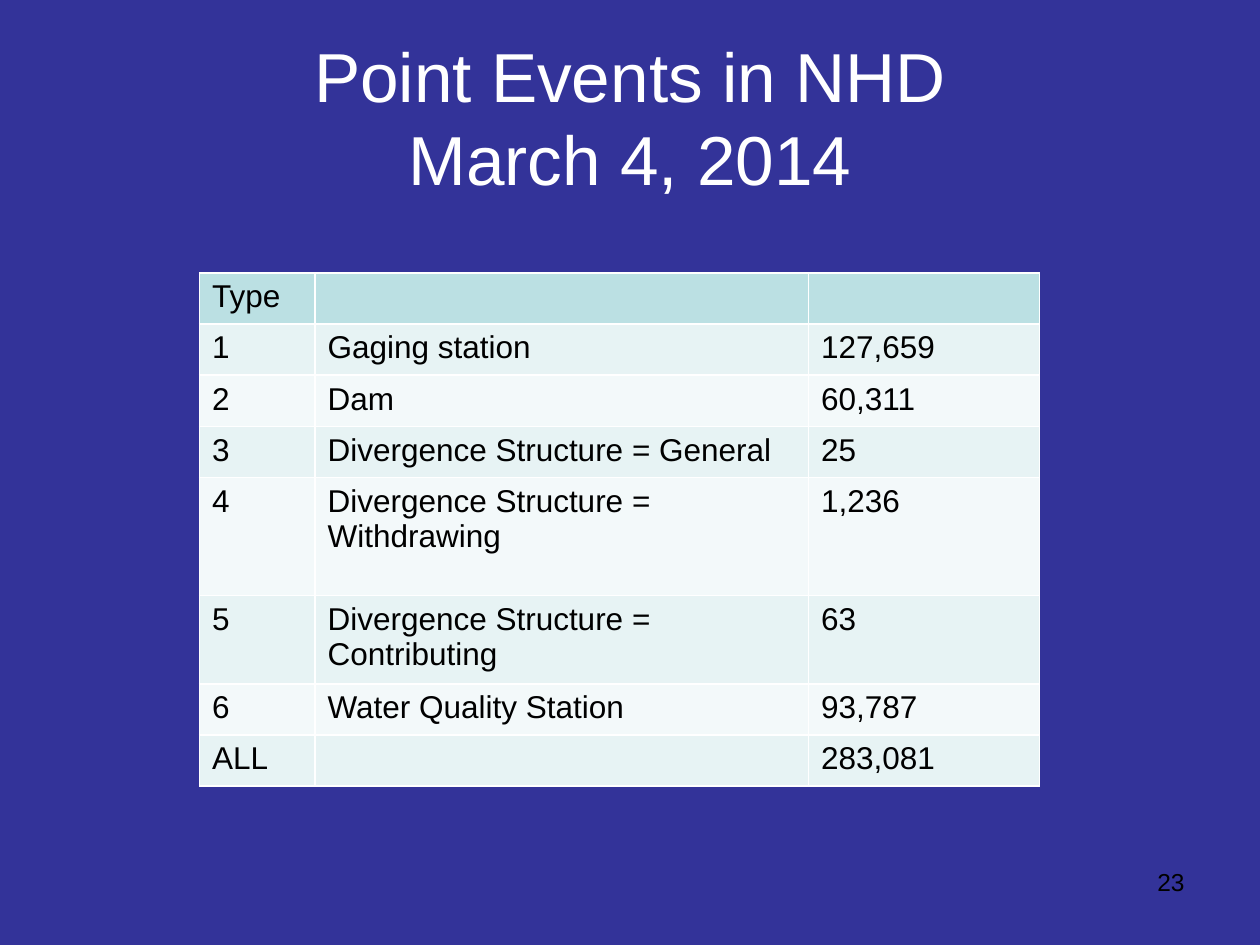
import dataclasses

import pptx
import pptx.dml.color
import pptx.enum.text
import pptx.util

Pt = pptx.util.Pt
Align = pptx.enum.text.PP_ALIGN
Anchor = pptx.enum.text.MSO_ANCHOR


@dataclasses.dataclass(frozen=True)
class Theme:
    font: str = "Arial"
    background: str = "333399"
    title: str = "FFFFFF"
    text: str = "000000"
    header: str = "BBE0E3"
    bands: tuple = ("E7F3F4", "F3F9FA")
    title_size: float = 39.6
    table_size: float = 18
    number_size: float = 14


def color(value):
    return pptx.dml.color.RGBColor.from_string(value)


def write(text_frame, text, *, font, size, fill, align=Align.LEFT):
    paragraph = text_frame.paragraphs[0]
    paragraph.text = text
    paragraph.alignment = align
    for run in paragraph.runs:
        run.font.name = font
        run.font.size = Pt(size)
        run.font.bold = False
        run.font.color.rgb = color(fill)


class SlideBuilder:
    def __init__(self, presentation, theme):
        self.theme = theme
        self.slide = presentation.slides.add_slide(presentation.slide_layouts[5])
        background = self.slide.background.fill
        background.solid()
        background.fore_color.rgb = color(theme.background)

    def title(self, text, left, top, width, height):
        shape = self.slide.shapes.title
        shape.left, shape.top = Pt(left), Pt(top)
        shape.width, shape.height = Pt(width), Pt(height)
        shape.text_frame.vertical_anchor = Anchor.MIDDLE
        write(shape.text_frame, text, font=self.theme.font, size=self.theme.title_size,
              fill=self.theme.title, align=Align.CENTER)

    def page_number(self, text, left, top, width, height):
        shape = self.slide.shapes.add_textbox(Pt(left), Pt(top), Pt(width), Pt(height))
        shape.text_frame.word_wrap = True
        write(shape.text_frame, text, font=self.theme.font, size=self.theme.number_size,
              fill=self.theme.text, align=Align.RIGHT)

    def table(self, rows, left, top, widths, heights):
        table = self.slide.shapes.add_table(
            len(rows), len(widths), Pt(left), Pt(top), Pt(sum(widths)), Pt(sum(heights))
        ).table
        for column, width in zip(table.columns, widths):
            column.width = Pt(width)
        for index, (row, values) in enumerate(zip(table.rows, rows)):
            row.height = Pt(heights[index])
            fill = self.theme.bands[(index - 1) % 2] if index else self.theme.header
            for cell, value in zip(row.cells, values):
                cell.fill.solid()
                cell.fill.fore_color.rgb = color(fill)
                if value:
                    write(cell.text_frame, value, font=self.theme.font,
                          size=self.theme.table_size, fill=self.theme.text)


def main():
    presentation = pptx.Presentation()
    presentation.slide_width, presentation.slide_height = Pt(720), Pt(540)
    builder = SlideBuilder(presentation, Theme())
    builder.title("Point Events in NHD\vMarch 4, 2014", 36, 21.6, 648, 90)
    builder.page_number("23", 516, 492, 168, 37.5)
    events = [
        ("Type", "", ""),
        ("1", "Gaging station", "127,659"),
        ("2", "Dam", "60,311"),
        ("3", "Divergence Structure = General", "25"),
        ("4", "Divergence Structure = Withdrawing", "1,236"),
        ("5", "Divergence Structure = Contributing", "63"),
        ("6", "Water Quality Station", "93,787"),
        ("ALL", "", "283,081"),
    ]
    single = 29.2
    heights = [single] * 4 + [67.6, 47.5] + [single] * 2
    builder.table(events, 114, 156, (66, 282, 132), heights)
    presentation.save("out.pptx")


if __name__ == "__main__":
    main()
